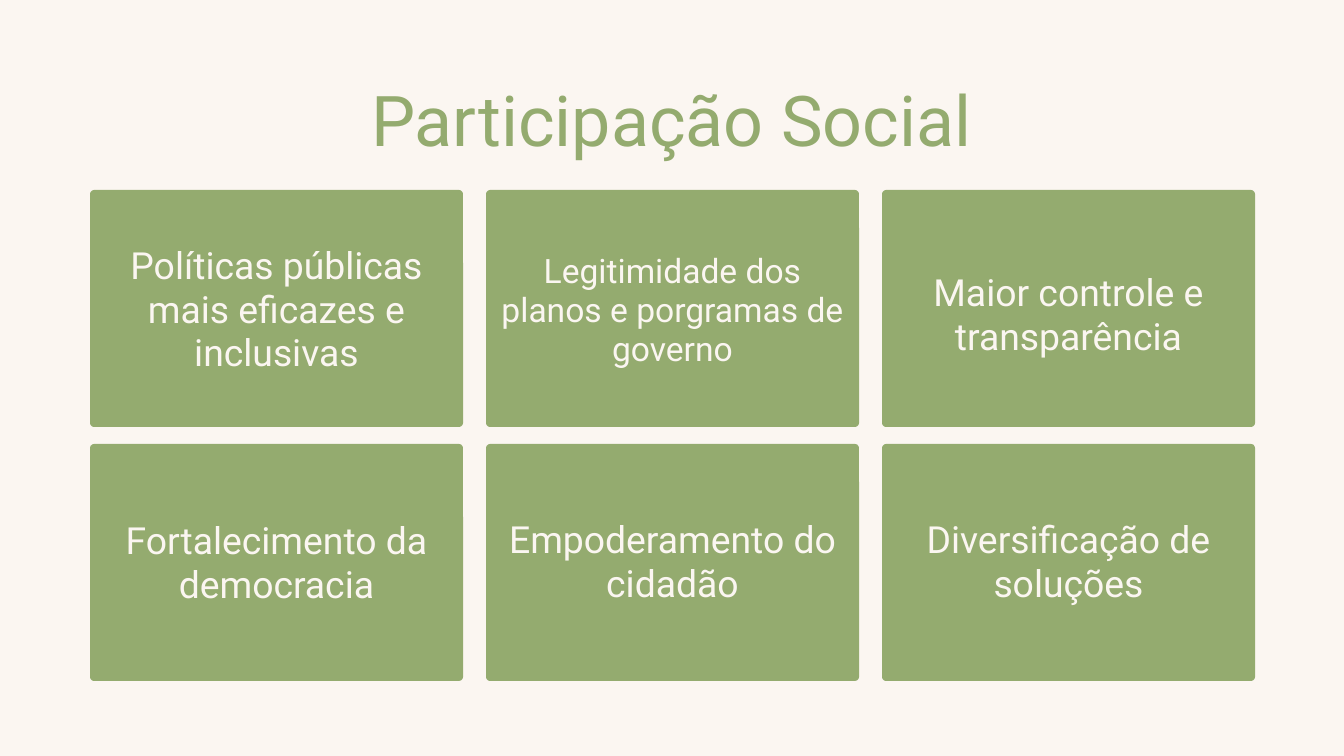
"""Build the "Participação Social" slide: a title above a grid of six cards."""
from pptx import Presentation
from pptx.dml.color import RGBColor
from pptx.enum.shapes import MSO_SHAPE
from pptx.enum.text import MSO_AUTO_SIZE, PP_ALIGN
from pptx.util import Emu, Pt

ROUNDED = MSO_SHAPE.ROUNDED_RECTANGLE
CENTER = PP_ALIGN.CENTER
GROW = MSO_AUTO_SIZE.SHAPE_TO_FIT_TEXT

EMU_PER_PX = 914400 / 67.2
LINE_RATIO = 1.16
GREEN = "94AB6F"
CREAM = "FBF6F1"

GRID_LEFT, GRID_TOP = 90, 190
CARD_WIDTH, CARD_HEIGHT, CARD_RADIUS = 373, 237, 4
COLUMN_STEP, ROW_STEP = 396, 254
LABEL_INSET = 14
COLUMNS = 3

# Label text, its size in points, its top inside the card and its height
CARDS = [
    ("Políticas públicas mais eficazes e inclusivas", 40, 54, 129),
    ("Legitimidade dos planos e porgramas de governo", 36, 61, 116),
    ("Maior controle e transparência", 40, 81, 86),
    ("Fortalecimento da democracia", 40, 75, 86),
    ("Empoderamento do cidadão", 40, 74, 86),
    ("Diversificação de soluções", 40, 74, 86),
]


def px(length):
    return Emu(round(length * EMU_PER_PX))


def color(hex_code):
    return RGBColor.from_string(hex_code)


def write(para, text, *, size, ink, font):
    para.alignment = CENTER
    para.line_spacing = Pt(size * LINE_RATIO)
    span = para.add_run()
    span.text = text
    span.font.name = font
    span.font.size = Pt(size)
    span.font.color.rgb = color(ink)


class Painter:
    def __init__(self, page, font):
        self.page = page
        self.font = font

    def background(self, fill):
        self.page.background.fill.solid()
        self.page.background.fill.fore_color.rgb = color(fill)

    def card(self, left, top, width, height, fill):
        card = self.page.shapes.add_shape(
            ROUNDED, px(left), px(top), px(width), px(height))
        card.adjustments[0] = CARD_RADIUS / min(width, height)
        card.shadow.inherit = False
        card.fill.solid()
        card.fill.fore_color.rgb = color(fill)
        card.line.fill.background()

    def text(self, text, left, top, width, height, *, size, ink):
        box = self.page.shapes.add_textbox(
            px(left), px(top), px(width), px(height))
        frame = box.text_frame
        frame.margin_left = frame.margin_right = 0
        frame.margin_top = frame.margin_bottom = 0
        frame.word_wrap = True
        frame.auto_size = GROW
        write(frame.paragraphs[0], text, size=size, ink=ink, font=self.font)


def main():
    deck = Presentation()
    deck.slide_width, deck.slide_height = px(1344), px(756)
    painter = Painter(deck.slides.add_slide(deck.slide_layouts[6]), "Roboto")

    painter.background(CREAM)
    painter.text("Participação Social", 216, 79, 911, 81, size=75, ink=GREEN)
    for index, (label, size, offset, height) in enumerate(CARDS):
        row, column = divmod(index, COLUMNS)
        left = GRID_LEFT + column * COLUMN_STEP
        top = GRID_TOP + row * ROW_STEP
        painter.card(left, top, CARD_WIDTH, CARD_HEIGHT, GREEN)
        painter.text(label, left + LABEL_INSET, top + offset,
                     CARD_WIDTH - 2 * LABEL_INSET, height,
                     size=size, ink=CREAM)

    deck.save("out.pptx")


if __name__ == "__main__":
    main()
